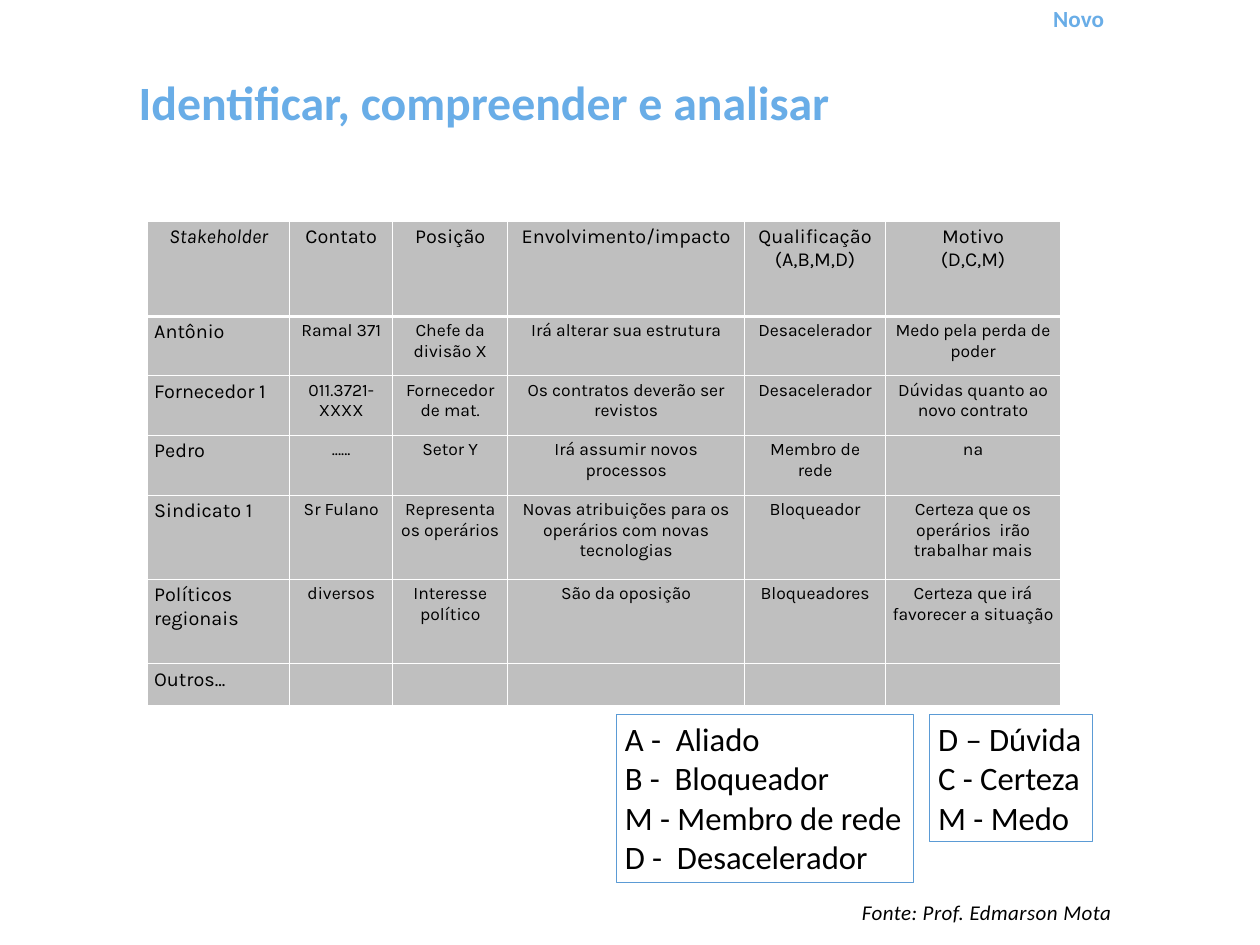
from lxml import etree
from pptx import Presentation
from pptx.dml.color import RGBColor as RGB
from pptx.enum.shapes import MSO_SHAPE as SHAPE
from pptx.enum.text import MSO_ANCHOR as ANCHOR, MSO_AUTO_SIZE as AUTO, PP_ALIGN as ALIGN
from pptx.oxml.ns import qn
from pptx.util import Inches, Pt

COLORS = {"text": "000000", "accent": "69ADE7", "outline": "5B9BD5",
          "cell": "BFBFBF", "white": "FFFFFF"}

prs = Presentation()
prs.slide_width, prs.slide_height = Inches(15), Inches(11.25)
COL, ROW = prs.slide_width / 60, prs.slide_height / 45
s = prs.slides.add_slide(prs.slide_layouts[6])


def grid(left, top, width, height):
    return int(left * COL), int(top * ROW), int(width * COL), int(height * ROW)


def write(tf, lines, size, font="Calibri", color="text", bold=False, italic=False,
          align=ALIGN.LEFT):
    for i, line in enumerate(lines):
        p = tf.add_paragraph() if i else tf.paragraphs[0]
        p.alignment = align
        r = p.add_run()
        r.text = line
        r.font.size, r.font.name = Pt(size), font
        r.font.bold, r.font.italic = bold, italic
        r.font.color.rgb = RGB.from_string(COLORS[color])


stakeholders = [
    ["Stakeholder", "Contato", "Posição", "Envolvimento/impacto",
     "Qualificação\n(A,B,M,D)", "Motivo\n(D,C,M)"],
    ["Antônio", "Ramal 371", "Chefe da divisão X", "Irá alterar sua estrutura",
     "Desacelerador", "Medo pela perda de poder"],
    ["Fornecedor 1", "011.3721-XXXX", "Fornecedor de mat.",
     "Os contratos deverão ser revistos", "Desacelerador", "Dúvidas quanto ao novo contrato"],
    ["Pedro", "......", "Setor Y", "Irá assumir novos processos", "Membro de rede", "na"],
    ["Sindicato 1", "Sr Fulano", "Representa os operários",
     "Novas atribuições para os operários com novas tecnologias", "Bloqueador",
     "Certeza que os operários  irão trabalhar mais"],
    ["Políticos regionais", "diversos", "Interesse político", "São da oposição",
     "Bloqueadores", "Certeza que irá favorecer a situação"],
    ["Outros...", "", "", "", "", ""],
]
col_widths = [6.78, 4.9, 5.48, 11.28, 6.72, 8.32]
row_heights = [4.52, 2.84, 2.84, 2.84, 4.02, 4.02, 1.96]

table = s.shapes.add_table(len(row_heights), len(col_widths),
                           *grid(7.02, 10.54, sum(col_widths), sum(row_heights))).table
table.first_row = table.horz_banding = False
for column, width in zip(table.columns, col_widths):
    column.width = int(width * COL)
for row, height in zip(table.rows, row_heights):
    row.height = int(height * ROW)

for i, texts in enumerate(stakeholders):
    for j, text in enumerate(texts):
        cell = table.cell(i, j)
        cell.margin_left = cell.margin_right = Inches(0.08)
        cell.margin_top = cell.margin_bottom = Inches(0.05)
        thick_side = {0: "lnB", 1: "lnT"}.get(i)
        for side in ("lnL", "lnR", "lnT", "lnB"):
            width = Pt(3 if side == thick_side else 1)
            ln = etree.SubElement(cell._tc.get_or_add_tcPr(), qn(f"a:{side}"), w=str(width))
            fill = etree.SubElement(ln, qn("a:solidFill"))
            etree.SubElement(fill, qn("a:srgbClr"), val=COLORS["white"])
        cell.fill.solid()
        cell.fill.fore_color.rgb = RGB.from_string(COLORS["cell"])
        if text:
            write(cell.text_frame, text.split("\n"), 17 if i == 0 or j == 0 else 15, "Karla",
                  italic=i == j == 0, align=ALIGN.LEFT if i and j == 0 else ALIGN.CENTER)

legends = [
    ((29.36, 34.04, 14.16, 7.96),
     ["A -  Aliado", "B -  Bloqueador", "M - Membro de rede", "D -  Desacelerador"]),
    ((44.28, 34.04, 7.72, 6.04), ["D – Dúvida", "C - Certeza", "M - Medo"]),
]
for place, lines in legends:
    sp = s.shapes.add_shape(SHAPE.RECTANGLE, *grid(*place))
    sp.shadow.inherit = False
    sp.fill.solid()
    sp.fill.fore_color.rgb = RGB.from_string(COLORS["white"])
    sp.line.color.rgb = RGB.from_string(COLORS["outline"])
    sp.line.width = Pt(0.75)
    tf = sp.text_frame
    tf.word_wrap, tf.auto_size = False, AUTO.SHAPE_TO_FIT_TEXT
    tf.vertical_anchor = ANCHOR.TOP
    write(tf, lines, 28)

tf = s.shapes.add_textbox(*grid(41.04, 42.52, 18, 1.52)).text_frame
tf.word_wrap, tf.vertical_anchor = True, ANCHOR.MIDDLE
tf.margin_left = tf.margin_right = tf.margin_bottom = 0
tf.margin_top = Inches(0.07)
write(tf, ["Fonte: Prof. Edmarson Mota"], 18, italic=True)
tf.paragraphs[0].runs[0].font._element.set("spc", "40")

tf = s.shapes.add_textbox(*grid(1.76, 3.8, 42.64, 2.36)).text_frame
tf.word_wrap, tf.vertical_anchor = True, ANCHOR.MIDDLE
write(tf, ["Identificar, compreender e analisar"], 41, color="accent", bold=True,
      align=ALIGN.CENTER)
tf.paragraphs[0].line_spacing = 0.9

tf = s.shapes.add_textbox(*grid(49.76, 0, 7.24, 1.52)).text_frame
tf.word_wrap = True
write(tf, ["Novo"], 19.8, color="accent", bold=True)

prs.save("out.pptx")
